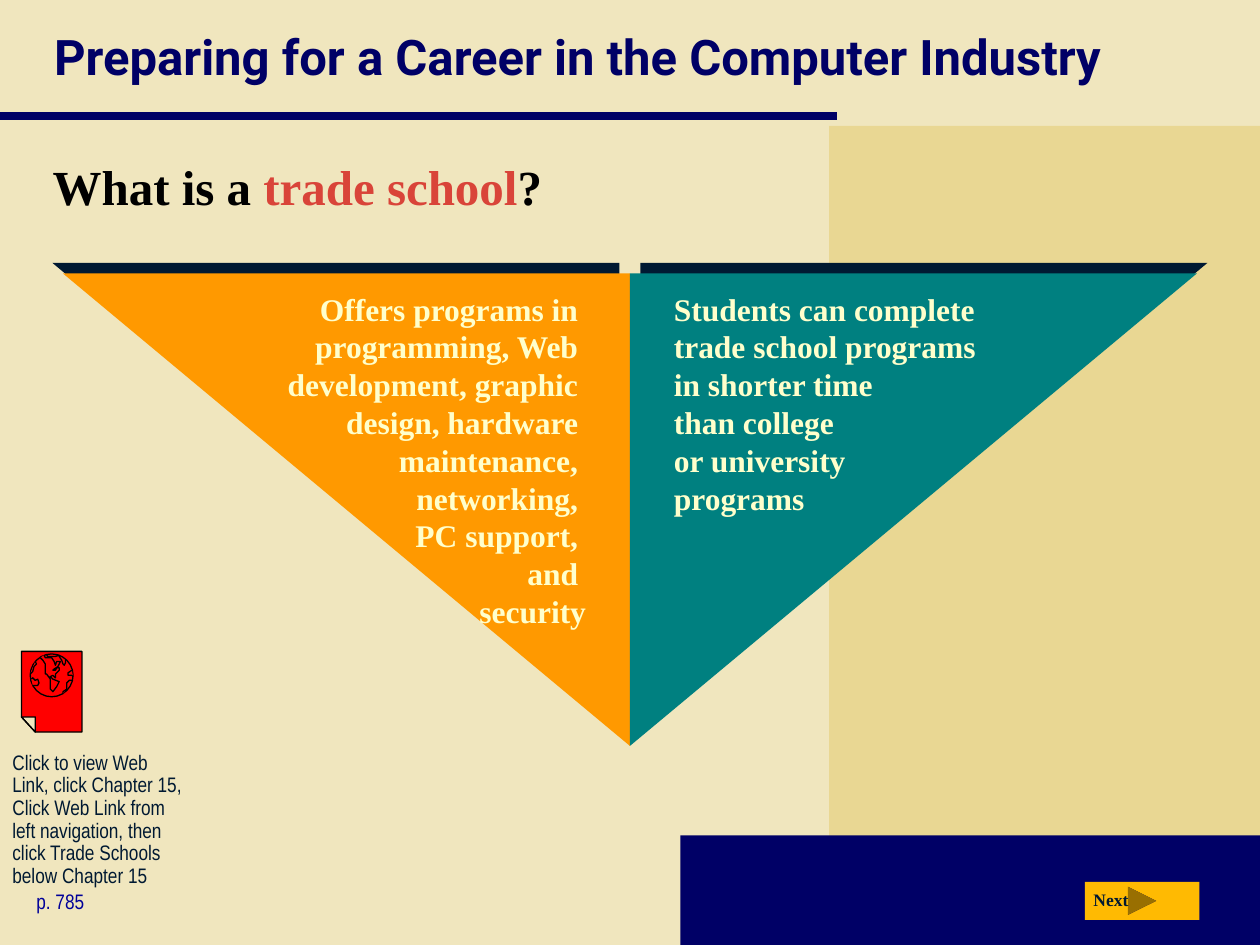
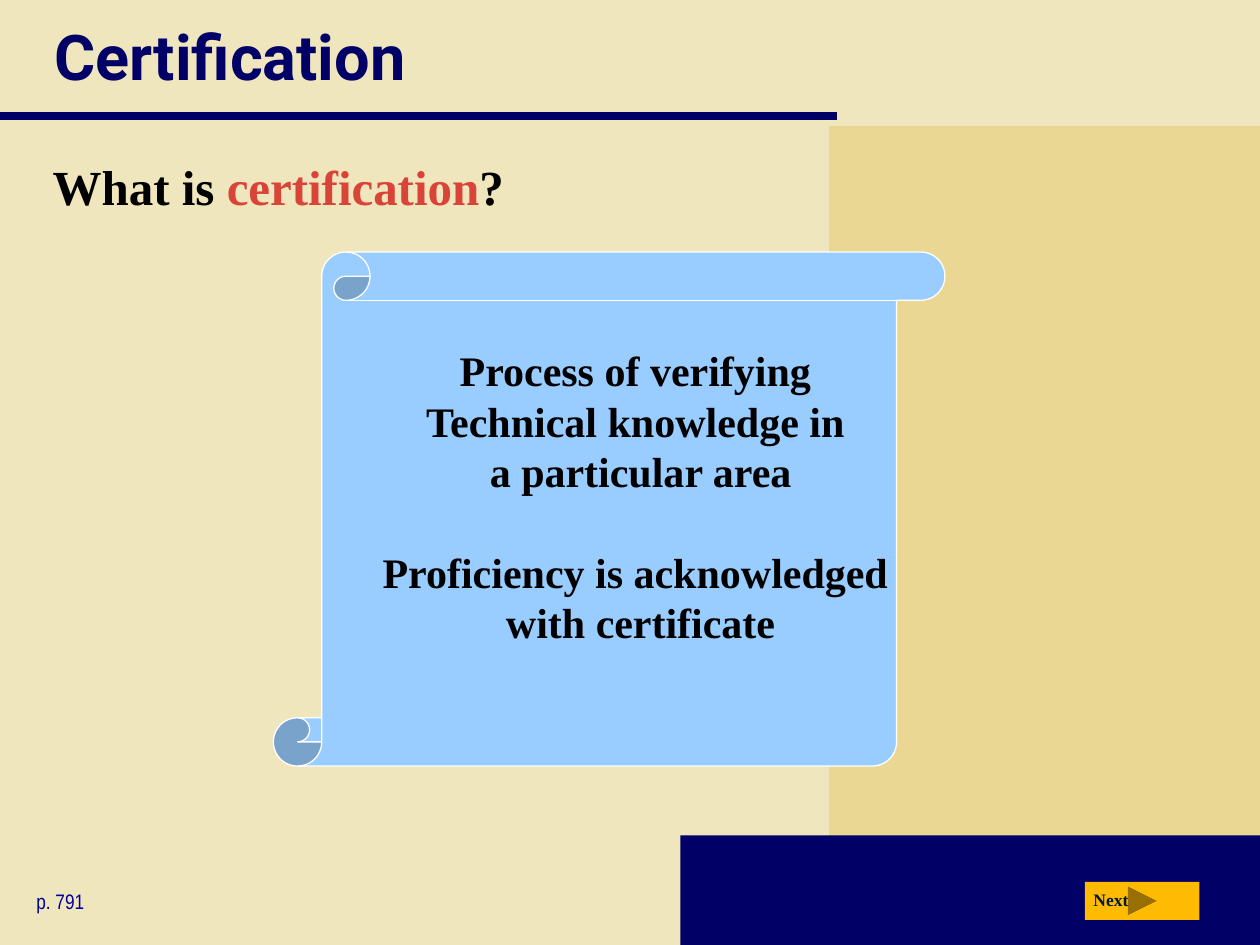
from lxml import etree
from pptx import Presentation
from pptx.dml.color import RGBColor
from pptx.enum.shapes import MSO_CONNECTOR, MSO_SHAPE
from pptx.enum.text import MSO_ANCHOR, MSO_AUTO_SIZE, PP_ALIGN
from pptx.oxml.ns import qn
from pptx.util import Pt

PX = 9144  # 100 px to the inch
CREAM = RGBColor(0xF0, 0xE6, 0xBE)
SAND = RGBColor(0xE9, 0xD7, 0x93)
NAVY = RGBColor(0x00, 0x00, 0x66)
PAGE_BLUE = RGBColor(0x00, 0x00, 0x99)
INK = RGBColor(0x00, 0x19, 0x32)
BLACK = RGBColor(0, 0, 0)
WHITE = RGBColor(0xFF, 0xFF, 0xFF)
KEY_RED = RGBColor(0xD9, 0x44, 0x39)
AMBER = RGBColor(0xFF, 0xBA, 0x02)
ORANGE = RGBColor(0xFF, 0x99, 0x00)
TEAL = RGBColor(0x00, 0x80, 0x80)
PALE_YELLOW = RGBColor(0xFF, 0xFF, 0xCC)
SKY = RGBColor(0x99, 0xCC, 0xFF)
LINK_RED = RGBColor(0xFF, 0x00, 0x00)
SERIF, NARROW, HEAD = "Times New Roman", "Arial Narrow", "Roboto"

COASTS = [
    [(18, 3), (19, 5), (24, 5), (26, 8), (27, 11), (28, 8), (31, 8), (30, 10),
     (29, 12), (26, 14), (25, 15), (27, 15), (28, 13), (30, 13), (30, 15),
     (28, 17), (27, 18), (27, 21), (25, 19), (23, 20), (25, 22), (30, 24),
     (28, 28), (25, 32), (23, 30), (23, 22), (20, 18), (19, 18), (19, 10),
     (17, 7), (15, 5)],
    [(20, 3), (21, 4), (27, 4), (30, 3), (30, 4), (32, 7), (33, 10),
     (34, 11), (35, 9), (35, 7)],
    [(7, 18), (9, 16), (10, 12), (12, 10), (11, 8)],
    [(8, 22), (9, 21), (11, 23), (13, 22), (14, 25), (13, 27), (9, 27)],
    [(33, 34), (33, 32), (36, 30), (36, 25), (38, 23), (40, 23)],
    [(41, 20), (40, 19), (37, 19), (37, 17), (40, 15)],
]


def emu(*lengths):
    return [length * PX for length in lengths]


def style(font, size, name, color, bold=False):
    font.size, font.name, font.bold = Pt(size), name, bold
    font.color.rgb = color


def paint(shape, fill, line=None):
    shape.shadow.inherit = False
    shape.fill.solid()
    shape.fill.fore_color.rgb = fill
    if line is None:
        shape.line.fill.background()
    else:
        shape.line.color.rgb = line
        shape.line.width = Pt(0.75)


def add_shape(slide, preset, box, fill, line=None):
    shape = slide.shapes.add_shape(preset, *emu(*box))
    paint(shape, fill, line)
    return shape


def add_text(slide, box, text, size, name, color, bold=False):
    """Add a one-paragraph wrapping text box and return its paragraph."""
    frame = slide.shapes.add_textbox(*emu(*box)).text_frame
    frame.word_wrap = True
    paragraph = frame.paragraphs[0]
    paragraph.text = text
    for run in paragraph.runs:
        style(run.font, size, name, color, bold)
    return paragraph


def add_bands(slide):
    add_shape(slide, MSO_SHAPE.RECTANGLE, (658, 100, 342, 650), SAND)
    add_shape(slide, MSO_SHAPE.RECTANGLE, (540, 663, 460, 87), NAVY)
    rule = slide.shapes.add_connector(MSO_CONNECTOR.STRAIGHT, *emu(0, 92, 664, 92))
    rule.line.color.rgb = NAVY
    rule.line.width = Pt(5)
    etree.SubElement(rule._element.spPr, qn("a:effectLst"))


def set_title(slide, text, size):
    title = slide.shapes.title
    title.left, title.top, title.width, title.height = emu(33, 0, 939, 88)
    frame = title.text_frame
    frame.text = text
    frame.auto_size = MSO_AUTO_SIZE.NONE
    frame.vertical_anchor = MSO_ANCHOR.MIDDLE
    frame.paragraphs[0].alignment = PP_ALIGN.LEFT
    style(frame.paragraphs[0].runs[0].font, size, HEAD, NAVY, True)


def add_question(slide, lead, term):
    paragraph = add_text(slide, (32, 119, 939, 72), lead, 28, SERIF, BLACK, True)
    for text, color in ((term, KEY_RED), ("?", BLACK)):
        run = paragraph.add_run()
        run.text = text
        style(run.font, 28, SERIF, color, True)


def add_next_button(slide, left, top):
    add_shape(slide, MSO_SHAPE.ACTION_BUTTON_FORWARD_OR_NEXT,
              (left, top, 91, 30), AMBER)
    add_text(slide, (left - 3, top + 1, 51, 27), "Next", 10, SERIF, INK, True)


def start_slide(prs, title, title_size, lead, term, page):
    """Add a slide with everything that all slides share."""
    slide = prs.slides.add_slide(prs.slide_layouts[5])
    add_bands(slide)
    set_title(slide, title, title_size)
    add_question(slide, lead, term)
    add_text(slide, (19, 700, 142, 30), page, 12, NARROW, PAGE_BLUE)
    add_next_button(slide, 861, 700)
    return slide


def add_half_triangle(slide, left, top, fill, flips, shadow_angle):
    """Add half of the inverted triangle with a hard offset shadow."""
    half = add_shape(slide, MSO_SHAPE.RIGHT_TRIANGLE, (left, top, 450, 375), fill)
    for flip in flips:
        half._element.spPr.xfrm.set(flip, "1")
    effects = half._element.spPr.find(qn("a:effectLst"))
    shadow = etree.SubElement(
        effects, qn("a:outerShdw"), dist=str(Pt(8.5)),
        dir=str(shadow_angle * 60000), algn="ctr", rotWithShape="0")
    etree.SubElement(shadow, qn("a:srgbClr"), val=str(INK))


def add_outline(slide, left, top, contours, close):
    """Add one freeform whose contours are relative to left, top."""
    placed = [[(left + x, top + y) for x, y in points] for points in contours]
    builder = slide.shapes.build_freeform(*placed[0][0], scale=PX)
    for index, points in enumerate(placed):
        if index:
            builder.move_to(*points[0])
        builder.add_line_segments(points[1:], close=close)
    paint(builder.convert_to_shape(), LINK_RED, BLACK)


def add_web_link(slide, left, top):
    page = [(0, 0), (48, 0), (48, 64), (11, 64), (0, 52)]
    fold = [(0, 52), (11, 52), (11, 64)]
    add_outline(slide, left, top, [page, fold], True)
    add_shape(slide, MSO_SHAPE.OVAL, (left + 7, top + 2, 34, 34), LINK_RED, BLACK)
    add_outline(slide, left, top, COASTS, False)
    hint = add_text(
        slide, (left - 17, top + 75, 217, 67),
        "Click to view Web \nLink, click Chapter 15, \nClick Web Link from \n"
        "left navigation, then \nclick Trade Schools\nbelow Chapter 15",
        12, NARROW, INK)
    hint.line_spacing = 0.9


def add_scroll(slide, box, statements):
    """Add a scroll; each statement is a list of centred lines."""
    scroll = add_shape(slide, MSO_SHAPE.VERTICAL_SCROLL, box, SKY, WHITE)
    scroll.adjustments[0] = 0.094
    frame = scroll.text_frame
    frame.word_wrap = False
    frame.vertical_anchor = MSO_ANCHOR.MIDDLE
    frame.margin_bottom = 45 * PX
    frame.text = "\n".join(line for lines in statements for line in lines)
    for paragraph in frame.paragraphs:
        paragraph.alignment = PP_ALIGN.CENTER
        paragraph._p.get_or_add_pPr().set("marL", str(50 * PX))
        style(paragraph.runs[0].font, 24, SERIF, BLACK, True)
    first = 0
    for lines in statements[:-1]:
        first += len(lines)
        frame.paragraphs[first].space_before = Pt(28.8)


def add_trade_school_slide(prs):
    slide = start_slide(prs, "Preparing for a Career in the Computer Industry", 28,
                        "What is a ", "trade school", "p. 785")
    add_half_triangle(slide, 50, 217, ORANGE, ("flipH", "flipV"), 225)
    add_half_triangle(slide, 500, 217, TEAL, ("flipV",), 315)
    offers = add_text(
        slide, (42, 225, 433, 280),
        "Offers programs in \nprogramming, Web \ndevelopment, graphic \n"
        "design, hardware \nmaintenance, \nnetworking, \nPC support, \nand \nsecurity",
        18, SERIF, PALE_YELLOW, True)
    offers.alignment = PP_ALIGN.RIGHT
    add_text(
        slide, (525, 225, 300, 190),
        "Students can complete trade school programs \nin shorter time \n"
        "than college \nor university \nprograms",
        18, SERIF, PALE_YELLOW, True)
    add_web_link(slide, 17, 517)


def add_certification_slide(prs):
    slide = start_slide(prs, "Certification", 36, "What is ", "certification", "p. 791")
    add_scroll(slide, (217, 200, 533, 408), [
        ["Process of verifying ", "Technical knowledge in ", "a particular area"],
        ["Proficiency is acknowledged ", "with certificate"],
    ])


def main():
    prs = Presentation()
    prs.slide_width, prs.slide_height = emu(1000, 750)
    backdrop = prs.slide_master.background.fill
    backdrop.solid()
    backdrop.fore_color.rgb = CREAM
    add_trade_school_slide(prs)
    add_certification_slide(prs)
    prs.save("out.pptx")


if __name__ == "__main__":
    main()
